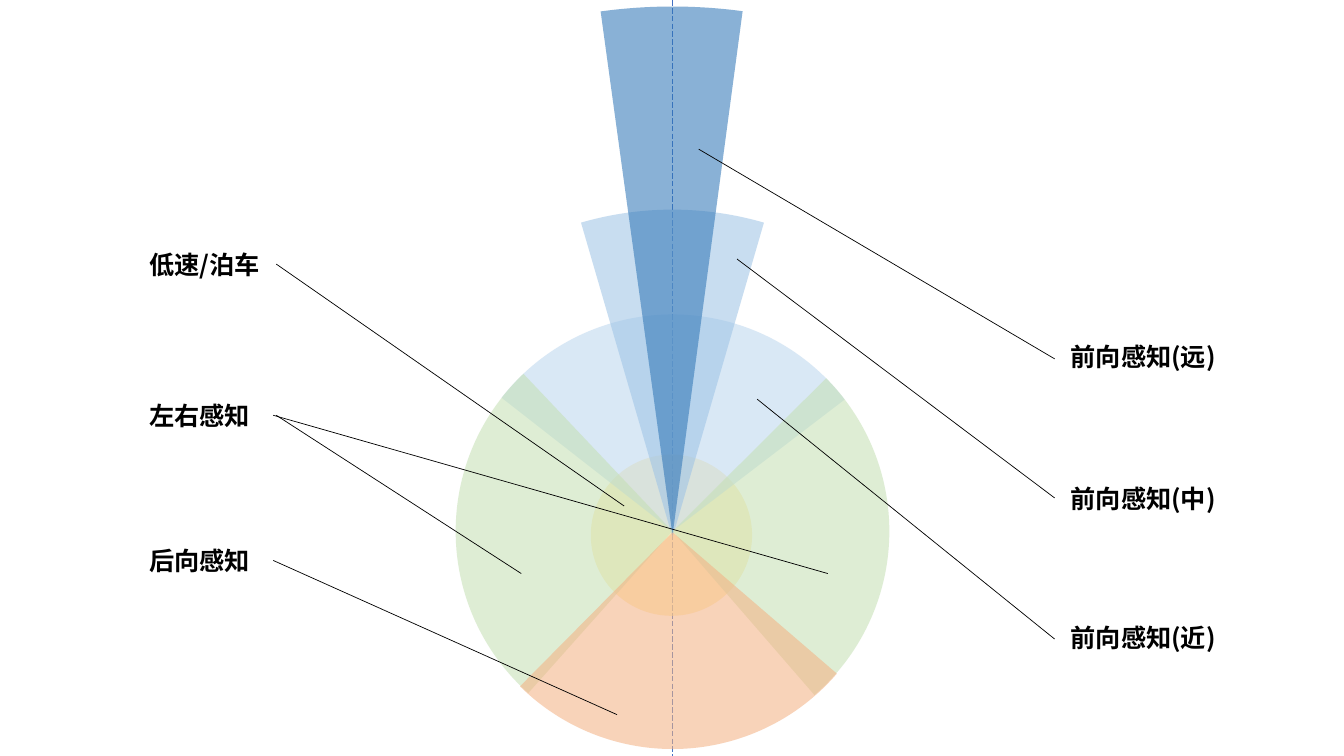
import pptx
import pptx.util
import pptx.dml.color
import pptx.enum.dml
import pptx.enum.shapes
import pptx.enum.text
import pptx.oxml
import pptx.oxml.ns
import lxml.etree

Inches = pptx.util.Inches
SHAPE = pptx.enum.shapes.MSO_SHAPE
FONT = "Noto Sans CJK SC"
MID = 6.67

ZONES = [
    (5.27, 4.3, 356.3, 221.69, 326.31, "BDD7EE"),
    (5.33, 6.5, 32.1, 221.69, 254.1, "9DC3E6"),
    (5.31, 10.49, 40.5, 221.69, 237.12, "2E75B6"),
    (5.27, 4.3, 270, 221.69, 316.59, "C5E0B4"),
    (5.27, 4.3, 107.5, 207.6, 301.61, "C5E0B4"),
    (5.28, 4.3, 193.1, 207.6, 301.61, "F4B183"),
]

LEFT = [
    ("低速/泊车", 2.42, [(2.74, 2.62, 6.19, 5.02)]),
    ("左右感知", 3.92, [(2.74, 4.12, 5.17, 5.69), (2.71, 4.12, 8.21, 5.69)]),
    ("后向感知", 5.36, [(2.71, 5.56, 6.12, 7.09)]),
]
RIGHT = [
    ("前向感知(远)", 3.34, [(10.46, 3.56, 6.93, 1.48)]),
    ("前向感知(中)", 4.75, [(10.46, 4.94, 7.31, 2.57)]),
    ("前向感知(近)", 6.12, [(10.46, 6.34, 7.51, 3.96)]),
]


def rgb(code):
    """Turn a hex string into a colour."""
    return pptx.dml.color.RGBColor.from_string(code)


def add_line(slide, ends, color="000000", dash=None):
    """Draw a thin straight line between two points."""
    line = slide.shapes.add_connector(
        pptx.enum.shapes.MSO_CONNECTOR.STRAIGHT, *map(Inches, ends))
    line.line.color.rgb = rgb(color)
    line.line.width = pptx.util.Pt(0.5)
    if dash:
        line.line.dash_style = dash
    props = line._element.spPr
    lxml.etree.SubElement(props, pptx.oxml.ns.qn("a:effectLst"))


def add_disc(slide, kind, mid, size, color, alpha):
    """Draw a see-through round shape about its centre."""
    x, y = mid
    disc = slide.shapes.add_shape(
        kind, Inches(x - size / 2), Inches(y - size / 2), Inches(size), Inches(size))
    disc.shadow.inherit = False
    disc.line.fill.background()
    disc.fill.solid()
    disc.fill.fore_color.rgb = rgb(color)
    tint = disc._element.spPr.find(".//" + pptx.oxml.ns.qn("a:srgbClr"))
    lxml.etree.SubElement(tint, pptx.oxml.ns.qn("a:alpha"), val=str(alpha * 1000))
    return disc


def add_text(slide, text, box, size=18, bold=True, color="000000"):
    """Place a wrapped text box that grows with its text."""
    frame = slide.shapes.add_textbox(*map(Inches, box)).text_frame
    frame.word_wrap = True
    frame.auto_size = pptx.enum.text.MSO_AUTO_SIZE.SHAPE_TO_FIT_TEXT
    run = frame.paragraphs[0].add_run()
    run.text = text
    font = run.font
    font.size, font.bold, font.name = pptx.util.Pt(size), bold, FONT
    font.color.rgb = rgb(color)
    east = lxml.etree.SubElement(run._r.get_or_add_rPr(), pptx.oxml.ns.qn("a:ea"))
    east.set("typeface", FONT)


def draw_zones(slide, x):
    """Draw the sensing sectors, with angles in degrees, about the axis at x."""
    add_line(slide, (x, 0, x, 7.5), "4472C4", pptx.enum.dml.MSO_LINE.LONG_DASH)
    add_disc(slide, SHAPE.FLOWCHART_CONNECTOR, (x - 0.01, 5.31), 1.6, "FFE699", 55)
    for y, size, turn, start, end, color in ZONES:
        pie = add_disc(slide, SHAPE.PIE, (x, y), size, color, 56)
        pie.adjustments[0] = start * 0.6
        pie.adjustments[1] = end * 0.6
        pie.rotation = turn


def draw_labels(slide, x, width, labels):
    """Draw a column of labels with their leader lines."""
    for text, y, leads in labels:
        for ends in leads:
            add_line(slide, ends)
        add_text(slide, text, (x, y, width, 0.4))


def main():
    """Build and save the slide."""
    deck = pptx.Presentation()
    deck.slide_width, deck.slide_height = Inches(13.33), Inches(7.5)
    slide = deck.slides.add_slide(deck.slide_layouts[6])
    draw_zones(slide, MID)
    draw_labels(slide, 1.38, 1.34, LEFT)
    draw_labels(slide, 10.52, 1.72, RIGHT)
    deck.save("out.pptx")


if __name__ == "__main__":
    main()
